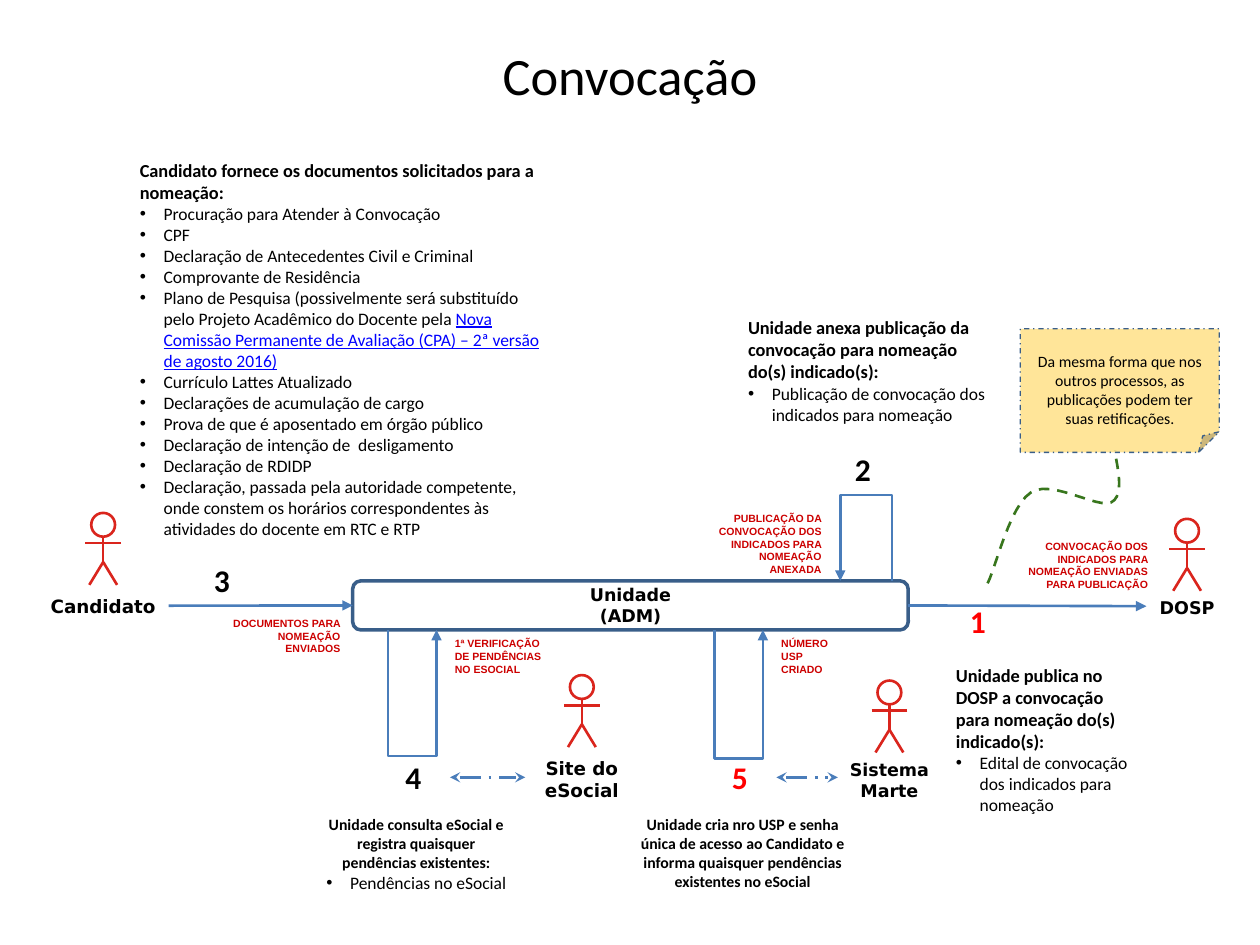
import pptx
import pptx.dml.color
import pptx.enum.dml
import pptx.enum.shapes
import pptx.enum.text
import pptx.oxml.ns
import pptx.util
from lxml import etree

Cm, Pt, qn = pptx.util.Cm, pptx.util.Pt, pptx.oxml.ns.qn
RGBColor = pptx.dml.color.RGBColor
DASH = pptx.enum.dml.MSO_LINE
SHAPE = pptx.enum.shapes.MSO_SHAPE
ALIGN = pptx.enum.text.PP_ALIGN
ANCHOR = pptx.enum.text.MSO_ANCHOR

BLACK = RGBColor(0x00, 0x00, 0x00)
WHITE = RGBColor(0xFF, 0xFF, 0xFF)
RED = RGBColor(0xFF, 0x00, 0x00)
LABEL_RED = RGBColor(0xCC, 0x00, 0x00)
ACTOR_RED = RGBColor(0xDA, 0x25, 0x1D)
FLOW_BLUE = RGBColor(0x4A, 0x7D, 0xBA)
BORDER_BLUE = RGBColor(0x39, 0x5E, 0x89)
LINK_BLUE = RGBColor(0x00, 0x00, 0xFF)
NOTE_YELLOW = RGBColor(0xFF, 0xE5, 0x99)
NOTE_GREEN = RGBColor(0x38, 0x76, 0x1D)


def cm_all(*values):
    return [Cm(value) for value in values]


# Text helpers
def style(paragraph, size, color=BLACK, bold=False, font="Calibri", align=ALIGN.LEFT):
    paragraph.alignment = align
    paragraph.font.name, paragraph.font.size = font, Pt(size)
    paragraph.font.bold, paragraph.font.color.rgb = bold, color


def prepare_frame(shape, top_inset=0.13):
    frame = shape.text_frame
    frame.word_wrap = True
    frame.margin_left = frame.margin_right = Cm(0.25)
    frame.margin_top, frame.margin_bottom = Cm(top_inset), Cm(0.13)
    return frame


def add_text(shapes, box, text, size, top_inset=0.13, **look):
    frame = prepare_frame(shapes.add_textbox(*cm_all(*box)), top_inset)
    frame.text = text
    style(frame.paragraphs[0], size, **look)
    return frame


def add_bullet(frame, text, link="", align=ALIGN.LEFT):
    paragraph = frame.add_paragraph()
    properties = paragraph._p.get_or_add_pPr()
    properties.set("marL", str(Cm(0.48)))
    properties.set("indent", str(-Cm(0.48)))
    etree.SubElement(properties, qn("a:buFont"), typeface="Arial")
    etree.SubElement(properties, qn("a:buChar"), char="•")
    style(paragraph, 10, align=align)
    paragraph.add_run().text = text
    if link:
        linked = paragraph.add_run()
        linked.text = link
        linked.font.underline, linked.font.color.rgb = True, LINK_BLUE


def add_number(slide, x, y, digit, color=BLACK):
    add_text(slide.shapes, (x, y, 1.17, 1.02), digit, 18,
             color=color, bold=True, align=ALIGN.CENTER)


def add_flow_label(slide, box, text, align=ALIGN.RIGHT):
    add_text(slide.shapes, box, text, 6, top_inset=0.25,
             color=LABEL_RED, bold=True, font="Arial", align=align)


# Line helpers
def style_line(shape, color, width=1.5, dash=None, head=None, tail=None):
    shape.line.color.rgb, shape.line.width = color, Pt(width)
    if dash:
        shape.line.dash_style = dash
    outline = shape._element.spPr.find(qn("a:ln"))
    for end, kind in (("a:headEnd", head), ("a:tailEnd", tail)):
        if kind:
            etree.SubElement(outline, qn(end), type=kind)


def add_line(shapes, start, end, color, **look):
    line = shapes.add_connector(pptx.enum.shapes.MSO_CONNECTOR.STRAIGHT,
                                *cm_all(*start, *end))
    style_line(line, color, **look)
    etree.SubElement(line._element.spPr, qn("a:effectLst"))
    return line


def add_path(slide, points, color, **look):
    points = [tuple(cm_all(*point)) for point in points]
    builder = slide.shapes.build_freeform(*points[0])
    builder.add_line_segments(points[1:], close=False)
    path = builder.convert_to_shape()
    path.fill.background()
    path.shadow.inherit = False
    style_line(path, color, **look)


def add_loop(slide, x_out, x_back, base, turn):
    add_path(slide, [(x_out, base), (x_out, turn), (x_back, turn), (x_back, base)],
             FLOW_BLUE, tail="triangle")


def bezier(p0, p1, p2, p3, steps=12):
    for t in (i / steps for i in range(1, steps + 1)):
        yield tuple((1 - t) ** 3 * a + 3 * (1 - t) ** 2 * t * b
                    + 3 * (1 - t) * t ** 2 * c + t ** 3 * d
                    for a, b, c, d in zip(p0, p1, p2, p3))


def add_box(slide, kind, box, fill=None, width=2, dash=None):
    shape = slide.shapes.add_shape(kind, *cm_all(*box))
    shape.shadow.inherit = False
    if fill is None:
        shape.fill.background()
    else:
        shape.fill.solid()
        shape.fill.fore_color.rgb = fill
    style_line(shape, BORDER_BLUE, width, dash)
    return shape


def add_actor(slide, x, y, name, width, size=10, name_top=1.45):
    """Stick figure centred on x, its head starting at y, with its name below."""
    shapes = slide.shapes.add_group_shape().shapes
    head = shapes.add_shape(SHAPE.OVAL, *cm_all(x - 0.24, y, 0.48, 0.48))
    head.shadow.inherit = False
    head.fill.solid()
    head.fill.fore_color.rgb = WHITE
    style_line(head, ACTOR_RED)
    hip = (x, y + 0.99)
    add_line(shapes, (x, y + 0.48), hip, ACTOR_RED)
    for side in (-1, 1):
        add_line(shapes, (x + side * 0.36, y + 0.61), (x, y + 0.61), ACTOR_RED)
        add_line(shapes, hip, (x + side * 0.28, y + 1.45), ACTOR_RED)
    add_text(shapes, (x - width / 2, y + name_top, width, 0.7), name, size,
             bold=True, font="DejaVu Sans", align=ALIGN.CENTER)


# Regions
def unit_bar(slide, box):
    unit = add_box(slide, SHAPE.ROUNDED_RECTANGLE, box)
    frame = prepare_frame(unit)
    frame.vertical_anchor = ANCHOR.MIDDLE
    frame.text = "Unidade\n(ADM)"
    for paragraph in frame.paragraphs:
        style(paragraph, 10, bold=True, font="DejaVu Sans", align=ALIGN.CENTER)
    return unit


def candidate_region(slide, x, y, unit):
    add_actor(slide, x + 1.32, y + 7.27, "Candidato", 2.7, 10.5, 1.52)
    documents = add_text(slide.shapes, (x + 1.81, y, 8.74, 7.98),
                         "Candidato fornece os documentos solicitados para a nomeação:",
                         10.5, bold=True)
    for text, link in (
        ("Procuração para Atender à Convocação", ""),
        ("CPF", ""),
        ("Declaração de Antecedentes Civil e Criminal", ""),
        ("Comprovante de Residência", ""),
        ("Plano de Pesquisa (possivelmente será substituído pelo Projeto Acadêmico "
         "do Docente pela ",
         "Nova Comissão Permanente de Avaliação (CPA) – 2ª versão de agosto 2016)"),
        ("Currículo Lattes Atualizado", ""),
        ("Declarações de acumulação de cargo", ""),
        ("Prova de que é aposentado em órgão público", ""),
        ("Declaração de intenção de  desligamento", ""),
        ("Declaração de RDIDP", ""),
        ("Declaração, passada pela autoridade competente, onde constem os horários "
         "correspondentes às atividades do docente em RTC e RTP", ""),
    ):
        add_bullet(documents, text, link)
    delivery = add_line(slide.shapes, (x + 2.64, y + 9.14), (x + 6.35, y + 9.14),
                        FLOW_BLUE, tail="triangle")
    delivery.end_connect(unit, 1)
    add_number(slide, x + 3.13, y + 8.11, "3")
    add_flow_label(slide, (x + 3.51, y + 9.12, 2.84, 1.09),
                   "DOCUMENTOS PARA NOMEAÇÃO ENVIADOS")


def attachment_region(slide, x, y):
    add_loop(slide, x + 4.01, x + 2.97, y + 5.46, y + 3.73)
    add_number(slide, x + 2.84, y + 2.69, "2")
    summary = add_text(slide.shapes, (x + 0.86, y, 5.46, 2.49),
                       "Unidade anexa publicação da convocação para nomeação "
                       "do(s) indicado(s):", 10.5, bold=True)
    add_bullet(summary, "Publicação de convocação dos indicados para nomeação")
    add_flow_label(slide, (x, y + 3.83, 2.84, 1.47),
                   "PUBLICAÇÃO DA CONVOCAÇÃO DOS INDICADOS PARA NOMEAÇÃO ANEXADA")


def publication_region(slide, x, y, unit):
    # Note and its dashed tie
    note = add_box(slide, SHAPE.FOLDED_CORNER, (x + 1.55, y, 4.01, 2.49),
                   NOTE_YELLOW, 0.75, DASH.DASH_DOT)
    frame = prepare_frame(note, top_inset=0.5)
    frame.vertical_anchor = ANCHOR.MIDDLE
    frame.text = ("Da mesma forma que nos outros processos, as publicações "
                  "podem ter suas retificações.")
    style(frame.paragraphs[0], 9, align=ALIGN.CENTER)
    knots = [(x + dx, y + dy) for dx, dy in (
        (0.89, 5.13), (1.05, 4.83), (1.33, 3.58), (1.76, 3.3), (2.16, 3.02),
        (3.1, 3.63), (3.38, 3.5), (3.69, 3.35), (3.46, 2.64), (3.46, 2.46))]
    curve = [knots[0]]
    for start in range(0, 9, 3):
        curve += bezier(*knots[start:start + 4])
    add_path(slide, curve, NOTE_GREEN, dash=DASH.DASH)
    # Sending to the gazette
    add_actor(slide, x + 4.91, y + 3.83, "DOSP", 1.75)
    sending = add_line(slide.shapes, (x - 0.71, y + 5.58), (x + 4.09, y + 5.59),
                       FLOW_BLUE, tail="triangle")
    sending.begin_connect(unit, 3)
    add_number(slide, x + 0.11, y + 5.38, "1", RED)
    add_flow_label(slide, (x + 1.12, y + 4.01, 3.25, 1.47),
                   "CONVOCAÇÃO DOS INDICADOS PARA NOMEAÇÃO ENVIADAS PARA PUBLICAÇÃO")
    summary = add_text(slide.shapes, (x, y + 6.63, 4.01, 3.4),
                       "Unidade publica no DOSP a convocação para nomeação "
                       "do(s) indicado(s):", 10.5, bold=True)
    add_bullet(summary, "Edital de convocação dos indicados para nomeação")


def system_region(slide, x, y, digit, color, label, label_width, depth, arrow_end,
                  actor, caption, caption_width):
    """Loop down from the unit at (x, y), with the system that it consults."""
    add_loop(slide, x, x + 0.98, y, y + depth)
    add_number(slide, x - 0.07, y + 2.46, digit, color)
    add_flow_label(slide, (x + 1.1, y - 0.1, label_width, 1.09), label, ALIGN.LEFT)
    add_line(slide.shapes, (x + 1.25, y + 2.97), (x + arrow_end, y + 2.97), FLOW_BLUE,
             dash=DASH.LONG_DASH_DOT, head="stealth", tail="stealth")
    actor_x, actor_y, *actor_name = actor
    add_actor(slide, x + actor_x, y + actor_y, *actor_name)
    return add_text(slide.shapes, (x + 0.57 - caption_width / 2, y + 3.6, caption_width, 1.8),
                    caption, 9, bold=True, align=ALIGN.CENTER)


def main():
    deck = pptx.Presentation()
    deck.slide_width, deck.slide_height = cm_all(25.4, 19.05)
    slide = deck.slides.add_slide(deck.slide_layouts[5])
    title = slide.shapes.title
    title.left, title.top, title.width, title.height = cm_all(1.27, 0.76, 22.86, 1.47)
    title.text_frame.text = "Convocação"
    style(title.text_frame.paragraphs[0], 30, align=ALIGN.CENTER)

    unit = unit_bar(slide, (7.11, 11.71, 11.2, 0.99))
    candidate_region(slide, 0.76, 3.07, unit)
    attachment_region(slide, 13.97, 6.25)
    publication_region(slide, 19.02, 6.63, unit)
    pending = system_region(
        slide, 7.82, 12.7, "4", BLACK, "1ª VERIFICAÇÃO DE PENDÊNCIAS NO ESOCIAL", 2.29,
        2.54, 2.77, (3.91, 0.91, "Site do eSocial", 2.29, 10.5, 1.52),
        "Unidade consulta eSocial e registra quaisquer pendências existentes:", 4.17)
    add_bullet(pending, "Pendências no eSocial", align=ALIGN.CENTER)
    system_region(
        slide, 14.4, 12.7, "5", RED, "NÚMERO USP CRIADO", 1.5,
        2.59, 2.49, (3.53, 1.02, "Sistema\vMarte", 2.2),
        "Unidade cria nro USP e senha única de acesso ao Candidato e informa "
        "quaisquer pendências existentes no eSocial", 4.7)
    deck.save("out.pptx")


if __name__ == "__main__":
    main()
